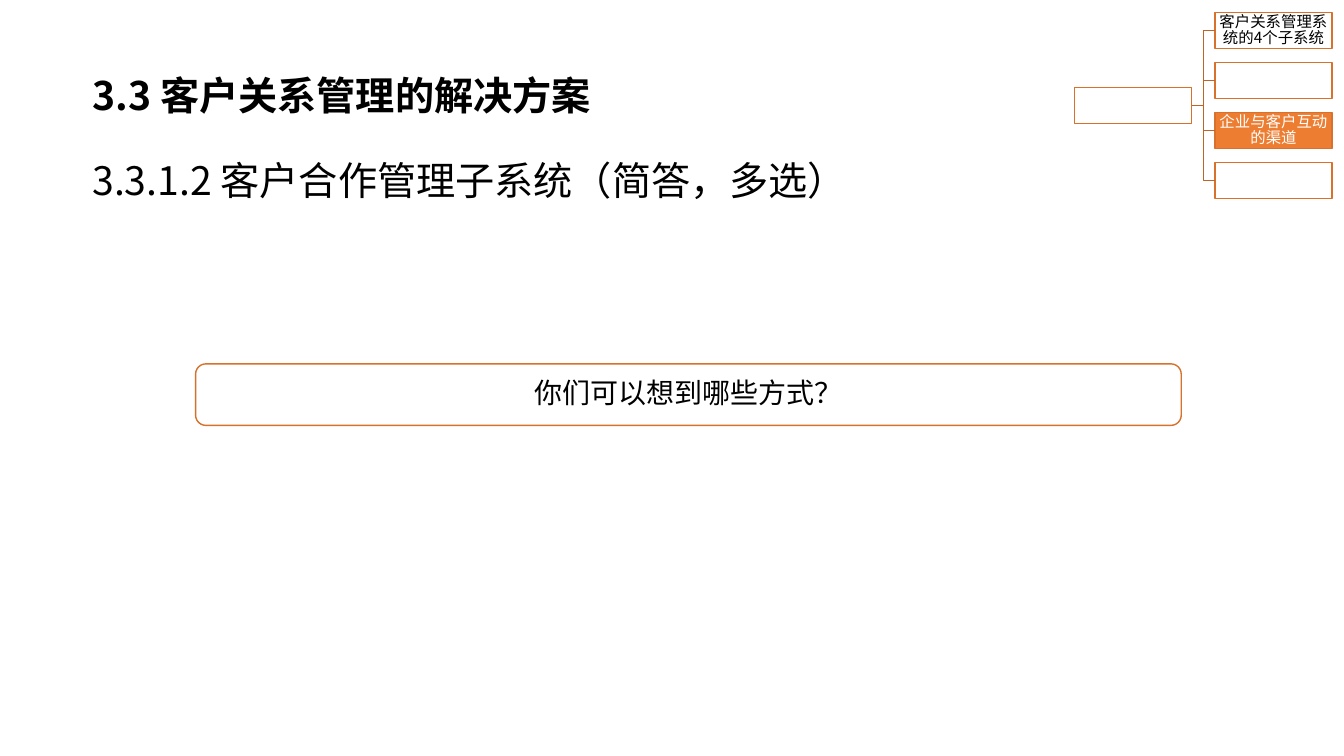
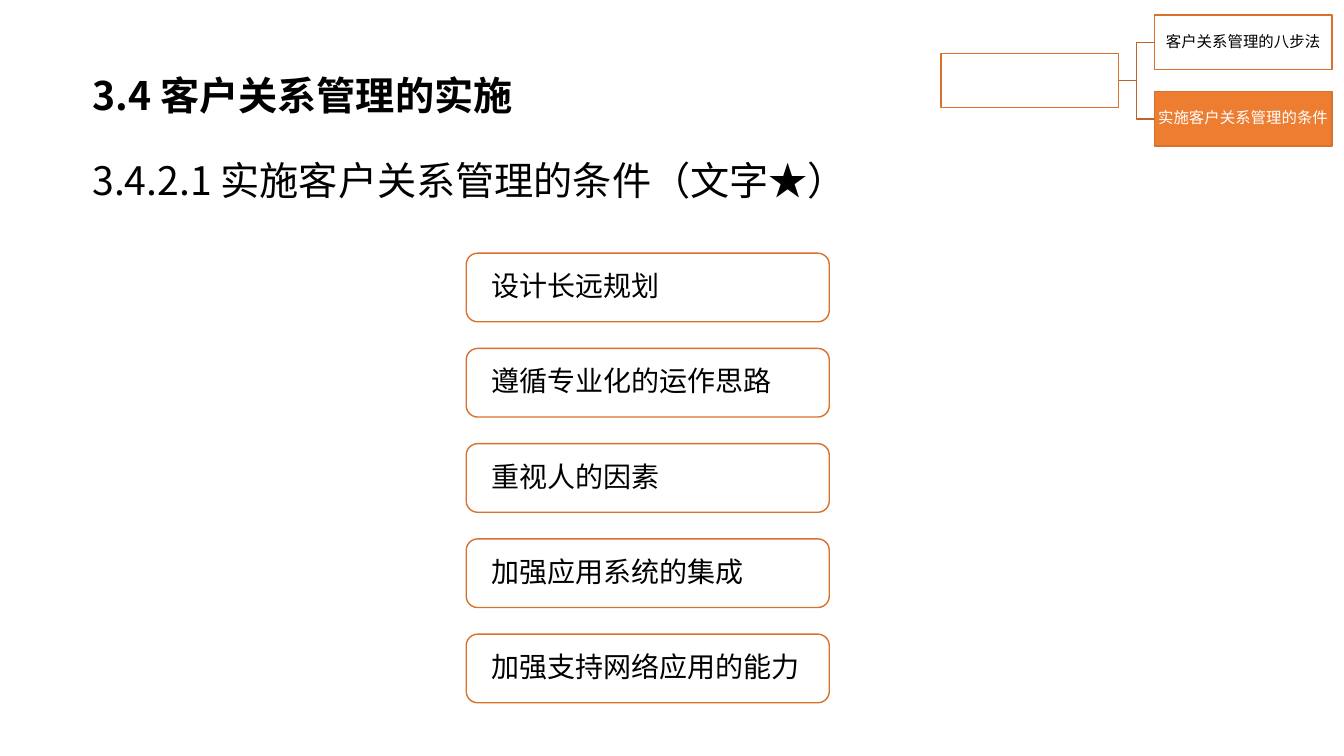
from dataclasses import dataclass

import pptx
import pptx.dml.color
import pptx.enum.shapes
import pptx.enum.text
import pptx.oxml
import pptx.oxml.ns
import pptx.presentation
import pptx.shapes.autoshape
import pptx.shapes.connector
import pptx.slide
import pptx.text.text
import pptx.util
from pptx.dml.color import RGBColor
from pptx.enum.shapes import MSO_SHAPE
from pptx.enum.text import MSO_ANCHOR, PP_ALIGN
from pptx.util import Cm

BLACK = RGBColor(0x00, 0x00, 0x00)
WHITE = RGBColor(0xFF, 0xFF, 0xFF)
ORANGE = RGBColor(0xED, 0x7D, 0x31)
OUTLINE = RGBColor(0xD7, 0x71, 0x2C)
BRANCH = RGBColor(0xBE, 0x64, 0x27)

HEADING_FONT = "Noto Sans CJK SC"
CARD_FONT = "Noto Sans CJK JP"

TREE_RIGHT = 33.57
TREE_GAP_RATIO = 0.2
BLANK_LAYOUT = 6


@dataclass(frozen=True)
class Box:
    """A rectangle in centimetres."""
    left: float
    top: float
    width: float
    height: float


@dataclass(frozen=True)
class TextStyle:
    size: float
    font: str = HEADING_FONT
    color: RGBColor = BLACK
    bold: bool = False
    align: PP_ALIGN = PP_ALIGN.LEFT
    line_spacing: float = 1.0
    anchor: MSO_ANCHOR = MSO_ANCHOR.MIDDLE
    inset_x: float = 0.3
    inset_y: float = 0.15


@dataclass(frozen=True)
class Topic:
    text: str = ""
    current: bool = False


@dataclass(frozen=True)
class TopicTree:
    """A root box whose topics stand in a column at the right slide edge."""
    topics: tuple[Topic, ...]
    top: float
    pitch: float
    width: float
    height: float


@dataclass(frozen=True)
class CardColumn:
    texts: tuple[str, ...]
    first: Box
    pitch: float = 0.0
    align: PP_ALIGN = PP_ALIGN.LEFT


@dataclass(frozen=True)
class Page:
    title: str
    subtitle: str
    tree: TopicTree
    cards: CardColumn


TITLE_BOX = Box(2.03, 1.65, 29.08, 1.5)
SUBTITLE_BOX = Box(2.03, 2.92, 30.89, 2.64)
TITLE_STYLE = TextStyle(28, bold=True, anchor=MSO_ANCHOR.TOP)
SUBTITLE_STYLE = TextStyle(28, line_spacing=1.5)

PAGES = (
    Page(
        "3.3 客户关系管理的解决方案",
        "3.3.1.2 客户合作管理子系统（简答，多选）",
        TopicTree(
            (
                Topic("客户关系管理系统的4个子系统"),
                Topic(),
                Topic("企业与客户互动的渠道", current=True),
                Topic(),
            ),
            top=0.32, pitch=1.26, width=2.95, height=0.9,
        ),
        CardColumn(
            ("你们可以想到哪些方式？",),
            Box(4.93, 9.17, 24.84, 1.55),
            align=PP_ALIGN.CENTER,
        ),
    ),
    Page(
        "3.4 客户关系管理的实施",
        "3.4.2.1 实施客户关系管理的条件（文字★）",
        TopicTree(
            (
                Topic("客户关系管理的八步法"),
                Topic("实施客户关系管理的条件", current=True),
            ),
            top=0.38, pitch=1.93, width=4.48, height=1.37,
        ),
        CardColumn(
            (
                "设计长远规划",
                "遵循专业化的运作思路",
                "重视人的因素",
                "加强应用系统的集成",
                "加强支持网络应用的能力",
            ),
            Box(11.75, 6.38, 9.15, 1.73),
            pitch=2.4,
        ),
    ),
)


def lengths(box: Box) -> tuple[Cm, Cm, Cm, Cm]:
    return Cm(box.left), Cm(box.top), Cm(box.width), Cm(box.height)


def write_text(frame: pptx.text.text.TextFrame, text: str, style: TextStyle) -> None:
    frame.text = text
    frame.word_wrap = True
    frame.vertical_anchor = style.anchor
    frame.margin_left = frame.margin_right = Cm(style.inset_x)
    frame.margin_top = frame.margin_bottom = Cm(style.inset_y)
    for paragraph in frame.paragraphs:
        paragraph.alignment = style.align
        paragraph.line_spacing = style.line_spacing
        for run in paragraph.runs:
            run.font.size = pptx.util.Pt(style.size)
            run.font.bold = style.bold
            run.font.color.rgb = style.color
            run.font.name = style.font
            set_east_asian_font(run.font, style.font)


def set_east_asian_font(font: pptx.text.text.Font, name: str) -> None:
    latin = font._element.find(pptx.oxml.ns.qn("a:latin"))
    east_asian = pptx.oxml.parse_xml(
        f'<a:ea {pptx.oxml.ns.nsdecls("a")} typeface="{name}"/>'
    )
    latin.addnext(east_asian)


def add_heading(
    slide: pptx.slide.Slide, box: Box, text: str, style: TextStyle
) -> pptx.shapes.autoshape.Shape:
    shape = slide.shapes.add_textbox(*lengths(box))
    write_text(shape.text_frame, text, style)
    return shape


def add_outlined_box(
    slide: pptx.slide.Slide,
    kind: MSO_SHAPE,
    box: Box,
    text: str,
    style: TextStyle,
    fill: RGBColor = WHITE,
) -> pptx.shapes.autoshape.Shape:
    shape = slide.shapes.add_shape(kind, *lengths(box))
    shape.shadow.inherit = False
    shape.fill.solid()
    shape.fill.fore_color.rgb = fill
    shape.line.color.rgb = OUTLINE
    shape.line.width = pptx.util.Pt(1)
    write_text(shape.text_frame, text, style)
    return shape


def add_topic_box(
    slide: pptx.slide.Slide, box: Box, topic: Topic
) -> pptx.shapes.autoshape.Shape:
    style = TextStyle(
        11,
        color=WHITE if topic.current else BLACK,
        align=PP_ALIGN.CENTER,
        line_spacing=0.9,
        inset_x=0.02,
        inset_y=0.02,
    )
    fill = ORANGE if topic.current else WHITE
    return add_outlined_box(slide, MSO_SHAPE.RECTANGLE, box, topic.text, style, fill)


def add_branch(
    slide: pptx.slide.Slide,
    root: pptx.shapes.autoshape.Shape,
    child: pptx.shapes.autoshape.Shape,
) -> pptx.shapes.connector.Connector:
    connector = slide.shapes.add_connector(
        pptx.enum.shapes.MSO_CONNECTOR.ELBOW, 0, 0, 0, 0
    )
    connector.begin_connect(root, 3)
    connector.end_connect(child, 1)
    connector.line.color.rgb = BRANCH
    connector.line.width = pptx.util.Pt(1)
    connector._element.spPr.append(
        pptx.oxml.parse_xml(f'<a:effectLst {pptx.oxml.ns.nsdecls("a")}/>')
    )
    return connector


def add_topic_tree(slide: pptx.slide.Slide, tree: TopicTree) -> None:
    child_left = TREE_RIGHT - tree.width
    root_left = child_left - tree.width * (1 + TREE_GAP_RATIO)
    root_top = tree.top + tree.pitch * (len(tree.topics) - 1) / 2
    root = add_topic_box(
        slide, Box(root_left, root_top, tree.width, tree.height), Topic()
    )
    for index, topic in enumerate(tree.topics):
        top = tree.top + index * tree.pitch
        child = add_topic_box(
            slide, Box(child_left, top, tree.width, tree.height), topic
        )
        add_branch(slide, root, child)


def add_cards(slide: pptx.slide.Slide, cards: CardColumn) -> None:
    style = TextStyle(
        20, CARD_FONT, align=cards.align, line_spacing=0.9, inset_x=0.55, inset_y=0
    )
    first = cards.first
    for index, text in enumerate(cards.texts):
        top = first.top + index * cards.pitch
        box = Box(first.left, top, first.width, first.height)
        add_outlined_box(slide, MSO_SHAPE.ROUNDED_RECTANGLE, box, text, style)


def add_page(presentation: pptx.presentation.Presentation, page: Page) -> None:
    slide = presentation.slides.add_slide(presentation.slide_layouts[BLANK_LAYOUT])
    add_heading(slide, SUBTITLE_BOX, page.subtitle, SUBTITLE_STYLE)
    title = add_heading(slide, TITLE_BOX, page.title, TITLE_STYLE)
    title.text_frame.auto_size = pptx.enum.text.MSO_AUTO_SIZE.SHAPE_TO_FIT_TEXT
    add_topic_tree(slide, page.tree)
    add_cards(slide, page.cards)


def main() -> None:
    presentation = pptx.Presentation()
    presentation.slide_width = Cm(33.87)
    presentation.slide_height = Cm(19.05)
    for page in PAGES:
        add_page(presentation, page)
    presentation.save("out.pptx")


if __name__ == "__main__":
    main()
